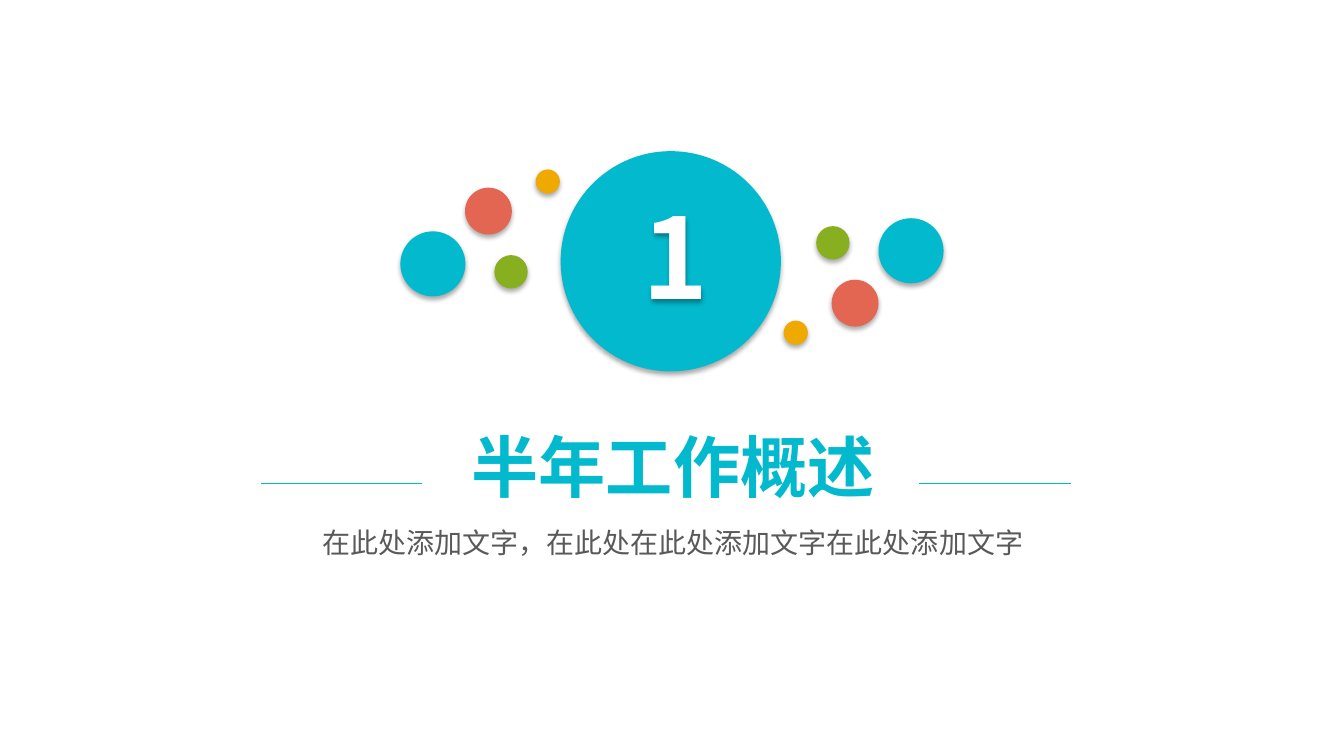
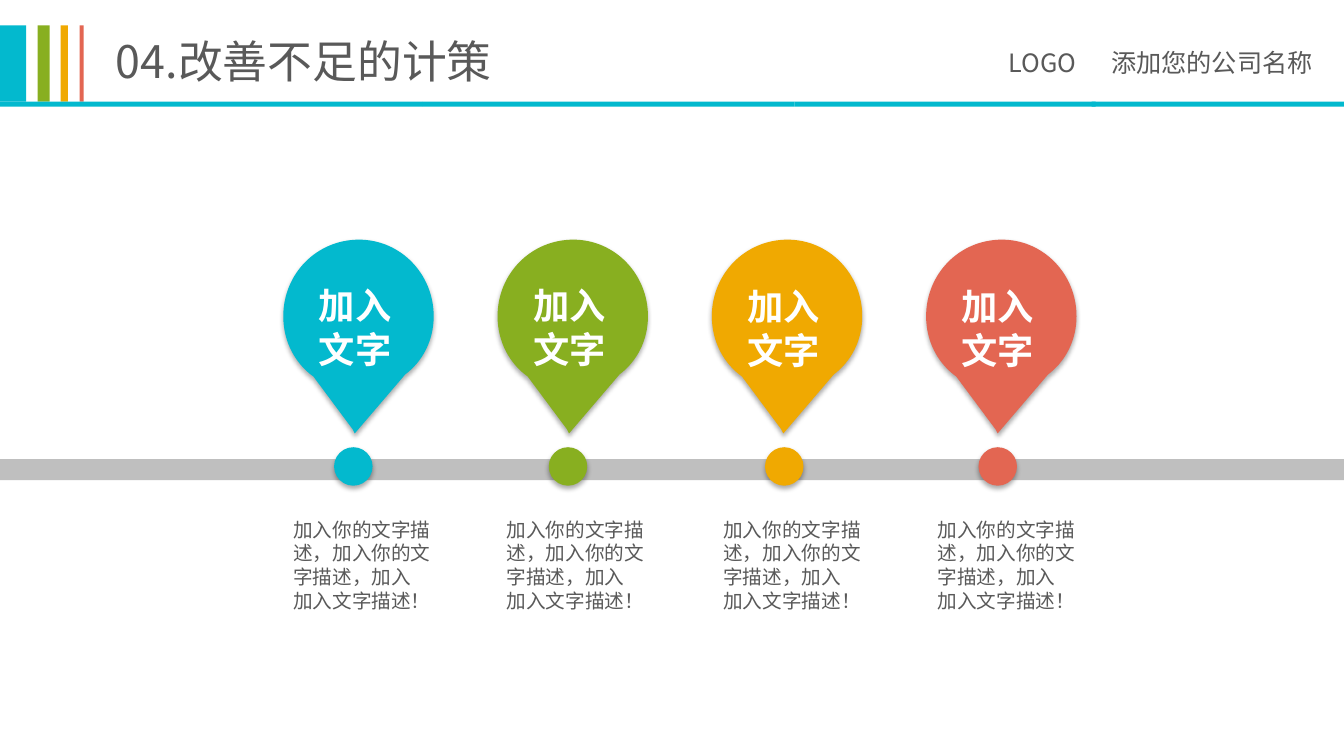
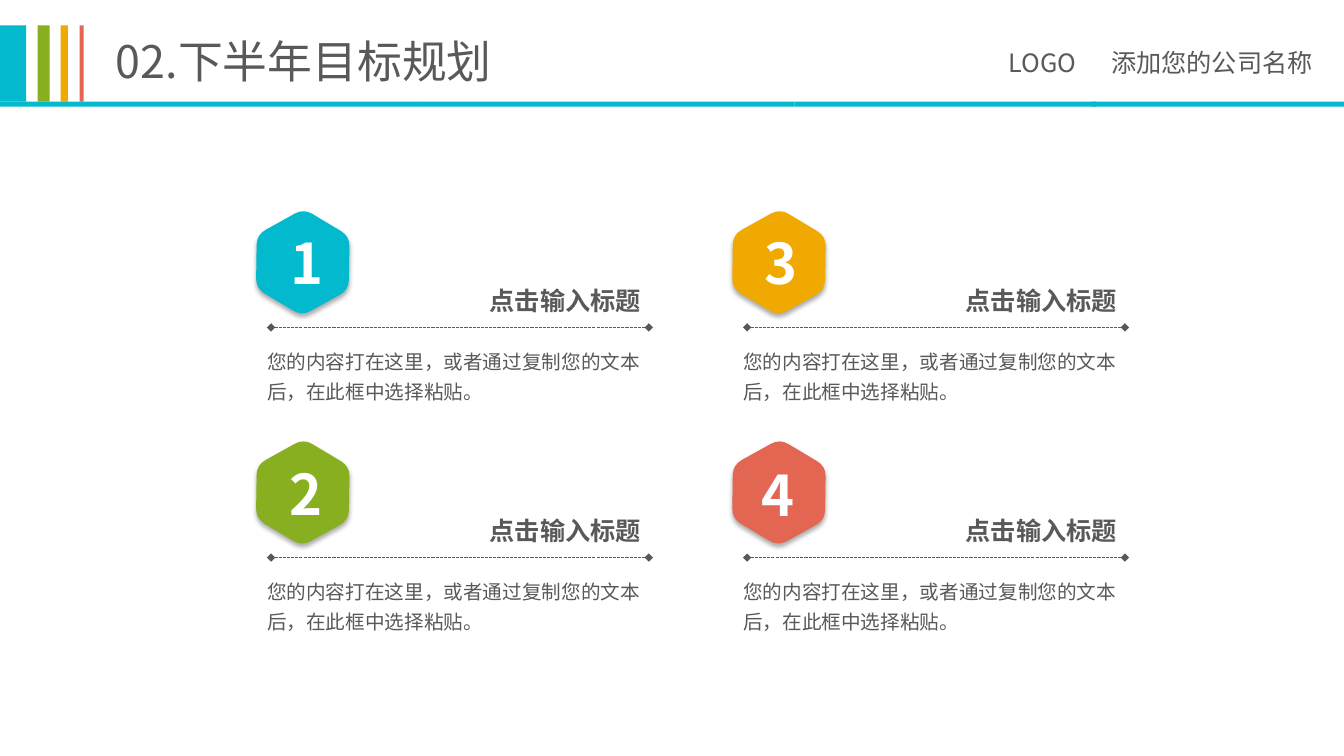
from dataclasses import dataclass
from math import cos, radians, sin

from lxml import etree
from pptx import Presentation, util as u
from pptx.dml.color import RGBColor
from pptx.enum import dml, shapes, text
from pptx.oxml.ns import qn
from pptx.shapes.autoshape import Shape
from pptx.shapes.connector import Connector
from pptx.slide import Slide

COLORS = {
    "teal": "03B9CE",
    "green": "88AF20",
    "orange": "F0A901",
    "red": "E36652",
    "gray": "595959",
    "band": "BFBFBF",
    "white": "FFFFFF",
    "black": "000000",
}
FONT = "Noto Sans CJK SC"
PAGE_WIDTH, PAGE_HEIGHT = 33.87, 19.05
Point = tuple[float, float]
Segment = tuple[Point, ...]  # one point for a straight line, three for a cubic curve


@dataclass(frozen=True)
class Box:
    """A rectangle in centimetres."""
    left: float
    top: float
    width: float
    height: float

    def lengths(self) -> list[u.Cm]:
        return [u.Cm(n) for n in (self.left, self.top, self.width, self.height)]


@dataclass(frozen=True)
class Style:
    size: float
    color: str = "gray"
    bold: bool = False
    align: text.PP_ALIGN = text.PP_ALIGN.LEFT
    spacing: float = 1.0


@dataclass(frozen=True)
class Dot:
    color: str
    left: float
    top: float
    size: float


@dataclass(frozen=True)
class Stripe:
    color: str
    left: float
    width: float


@dataclass(frozen=True)
class Stop:
    color: str
    dot_left: float
    caption_left: float
    label_left: float
    label_top: float


@dataclass(frozen=True)
class Goal:
    color: str
    column: int
    row: int
    number_left: float
    number_top: float


STRIPES = [
    Stripe("teal", 0, 0.66),
    Stripe("green", 0.95, 0.3),
    Stripe("orange", 1.53, 0.18),
    Stripe("red", 2.01, 0.1),
]
RULE_PARTS = [
    Stripe("teal", 0, 10.64),
    Stripe("teal", 10.64, 9.38),
    Stripe("teal", 20.02, 7.59),
    Stripe("teal", 27.51, 6.36),
]
COVER_DOTS = [
    Dot("teal", 10.09, 5.83, 1.64),
    Dot("green", 12.46, 6.43, 0.84),
    Dot("orange", 13.5, 4.27, 0.61),
    Dot("red", 11.72, 4.73, 1.18),
    Dot("teal", 22.14, 5.5, 1.64),
    Dot("green", 20.57, 5.7, 0.84),
    Dot("orange", 19.75, 8.08, 0.61),
    Dot("red", 20.96, 7.05, 1.18),
    Dot("teal", 14.13, 3.81, 5.55),
]
STOPS = [
    Stop("teal", 8.42, 7.14, 7.53, 7.01),
    Stop("green", 13.83, 12.52, 12.93, 7.01),
    Stop("orange", 19.28, 17.98, 18.33, 7.04),
    Stop("red", 24.66, 23.38, 23.72, 7.04),
]
GOALS = [
    Goal("teal", 0, 0, 7.06, 5.64),
    Goal("green", 0, 1, 7.04, 11.44),
    Goal("orange", 1, 0, 19.01, 5.64),
    Goal("red", 1, 1, 18.94, 11.48),
]


def rgb(color: str) -> RGBColor:
    return RGBColor.from_string(COLORS[color])


def add_shadow(shape: Shape) -> None:
    shape.shadow.inherit = False
    effects = shape.element.spPr.find(qn("a:effectLst"))
    outer = etree.SubElement(effects, qn("a:outerShdw"), {
        "blurRad": str(u.Pt(3.5)), "dist": str(u.Pt(2.2)),
        "dir": "5400000", "algn": "t", "rotWithShape": "0"})
    color = etree.SubElement(outer, qn("a:srgbClr"), val=COLORS["black"])
    etree.SubElement(color, qn("a:alpha"), val="32000")


def paint(shape: Shape, color: str, shadow: bool) -> None:
    shape.shadow.inherit = False
    shape.fill.solid()
    shape.fill.fore_color.rgb = rgb(color)
    shape.line.fill.background()
    if shadow:
        add_shadow(shape)


def add_rect(page: Slide, box: Box, color: str) -> None:
    rect = page.shapes.add_shape(shapes.MSO_SHAPE.RECTANGLE, *box.lengths())
    paint(rect, color, shadow=False)


def add_dot(page: Slide, dot: Dot) -> None:
    box = Box(dot.left, dot.top, dot.size, dot.size)
    oval = page.shapes.add_shape(shapes.MSO_SHAPE.OVAL, *box.lengths())
    paint(oval, dot.color, shadow=True)


def add_outline(page: Slide, origin: Point, start: Point, segments: list[Segment],
                color: str) -> Shape:
    """Draw a closed outline, with points measured from origin."""
    def place(point: Point) -> tuple[u.Cm, u.Cm]:
        return u.Cm(origin[0] + point[0]), u.Cm(origin[1] + point[1])

    builder = page.shapes.build_freeform(*place(start))
    builder.add_line_segments([place(p) for segment in segments for p in segment])
    shape = builder.convert_to_shape()
    lines = iter(list(shape.element.iter(qn("a:lnTo"))))
    for segment in segments:
        first, *others = [next(lines) for _ in segment]
        if others:
            curve = etree.Element(qn("a:cubicBezTo"))
            first.addprevious(curve)
            for line in (first, *others):
                curve.append(line[0])
                line.getparent().remove(line)
    paint(shape, color, shadow=True)
    return shape


def add_pin(page: Slide, left: float, top: float, color: str) -> None:
    segments = [
        ((2.95, 0), (3.79, 0.86), (3.79, 1.93)),
        ((3.79, 2.54), (3.51, 3.07), (3.07, 3.4)),
        ((1.83, 4.85),),
        ((1.8, 4.88),),
        ((1.75, 4.78),),
        ((0.76, 3.45),),
        ((0.3, 3.12), (0, 2.57), (0, 1.93)),
        ((0, 0.86), (0.84, 0), (1.91, 0)),
    ]
    add_outline(page, (left, top), (1.91, 0), segments, color)


def add_hexagon(page: Slide, center: Point, color: str) -> None:
    """Draw a hexagon with rounded corners, turned nearly upright."""
    radius, rounding = 1.35, 0.19
    angles = [radians(60 * k) for k in range(6)]
    corners = [(radius * cos(a), radius * sin(a)) for a in angles]

    def toward(start: Point, end: Point, share: float) -> Point:
        return (start[0] + share * (end[0] - start[0]),
                start[1] + share * (end[1] - start[1]))

    segments = []
    for k, corner in enumerate(corners):
        before, after = corners[k - 1], corners[(k + 1) % 6]
        segments.append((toward(corner, before, rounding),))
        segments.append((toward(corner, before, rounding / 3),
                         toward(corner, after, rounding / 3),
                         toward(corner, after, rounding)))
    hexagon = add_outline(page, center, segments[-1][-1], segments, color)
    hexagon.rotation = 30.9


def add_text(page: Slide, box: Box, words: str, style: Style, wrap: bool = True,
             grow: bool = True, insets: tuple[float, ...] = (0.25, 0.13, 0.25, 0.13),
             ) -> Shape:
    """Write one paragraph for each line of words; insets run left, top, right, bottom."""
    shape = page.shapes.add_textbox(*box.lengths())
    frame = shape.text_frame
    frame.text = words
    frame.word_wrap = wrap
    fit = text.MSO_AUTO_SIZE
    frame.auto_size = fit.SHAPE_TO_FIT_TEXT if grow else fit.NONE
    (frame.margin_left, frame.margin_top,
     frame.margin_right, frame.margin_bottom) = [u.Cm(n) for n in insets]
    for para in frame.paragraphs:
        para.alignment = style.align
        para.line_spacing = style.spacing
        for span in para.runs:
            span.font.size = u.Pt(style.size)
            span.font.bold = style.bold
            span.font.name = FONT
            span.font.color.rgb = rgb(style.color)
            etree.SubElement(span.font._element, qn("a:ea"), typeface=FONT)
    return shape


def add_line(page: Slide, left: float, right: float, y: float, color: str) -> Connector:
    line = page.shapes.add_connector(
        shapes.MSO_CONNECTOR.STRAIGHT, u.Cm(left), u.Cm(y), u.Cm(right), u.Cm(y))
    line.line.color.rgb = rgb(color)
    line.line.width = u.Pt(0.75)
    etree.SubElement(line.element.spPr, qn("a:effectLst"))
    return line


def add_diamond_line(page: Slide, left: float, right: float, y: float) -> None:
    line = add_line(page, left, right, y, "gray")
    line.line.dash_style = dml.MSO_LINE.SQUARE_DOT
    stroke = line.element.spPr.find(qn("a:ln"))
    for end in ("a:headEnd", "a:tailEnd"):
        etree.SubElement(stroke, qn(end), type="diamond")


def add_header(page: Slide, title: str) -> None:
    add_text(page, Box(2.67, 0.72, 13, 1.63), title, Style(32))
    for stripe in STRIPES:
        add_rect(page, Box(stripe.left, 0.64, stripe.width, 1.92), stripe.color)
    company = add_text(page, Box(25.17, 1.07, 8.69, 1.02), "LOGO\t添加您的公司名称", Style(18))
    props = company.text_frame.paragraphs[0]._p.get_or_add_pPr()
    tabs = etree.SubElement(props, qn("a:tabLst"))
    etree.SubElement(tabs, qn("a:tab"), pos=str(u.Cm(2.58)), algn="l")
    for part in RULE_PARTS:
        add_rect(page, Box(part.left, 2.56, part.width, 0.13), part.color)


def build_section(page: Slide) -> None:
    center = text.PP_ALIGN.CENTER
    for dot in COVER_DOTS:
        add_dot(page, dot)
    number = add_text(page, Box(15.9, 4.6, 2.26, 3.68), "1",
                      Style(80, "white", True, center), wrap=False)
    add_shadow(number)
    add_text(page, Box(9.83, 10.59, 14.27, 2.31), "半年工作概述",
             Style(48, "teal", True, center))
    add_text(page, Box(3.66, 13.11, 26.59, 1.12),
             "在此处添加文字，在此处在此处添加文字在此处添加文字", Style(20, align=center))
    for left, right in [(6.59, 10.63), (23.15, 26.98)]:
        add_line(page, left, right, 12.18, "teal")


def build_timeline(page: Slide) -> None:
    add_header(page, "04.改善不足的计策")
    add_rect(page, Box(-0.04, 11.57, PAGE_WIDTH + 0.04, 0.53), "band")
    for k, stop in enumerate(STOPS):
        add_pin(page, 7.14 + 5.4 * k, 6.04, stop.color)
        add_dot(page, Dot(stop.color, stop.dot_left, 11.27, 0.97))
        add_text(page, Box(stop.caption_left, 13.05, 4.37, 2.01),
                 "加入你的文字描述，加入你的文字描述，加入\n加入文字描述！",
                 Style(14), grow=False, insets=(0.25, 0, 0.25, 0))
        add_text(page, Box(stop.label_left, stop.label_top, 3, 2.21), "加入\n文字",
                 Style(25.9, "white", True), grow=False, insets=(0.51, 0.13, 0.25, 0))


def build_goals(page: Slide) -> None:
    add_header(page, "02.下半年目标规划")
    for number, goal in enumerate(GOALS, start=1):
        x, y = 12 * goal.column, 5.8 * goal.row
        add_hexagon(page, (x + 7.63, y + 6.61), goal.color)
        add_diamond_line(page, x + 6.83, x + 16.35, y + 8.25)
        add_text(page, Box(x + 12.09, y + 7.06, 4.37, 1.02), "点击输入标题",
                 Style(18, bold=True), wrap=False)
        add_text(page, Box(x + 6.48, y + 8.5, 10.36, 1.73),
                 "您的内容打在这里，或者通过复制您的文本后，在此框中选择粘贴。",
                 Style(14, spacing=1.3))
        add_text(page, Box(goal.number_left, goal.number_top, 1.04, 1.96), str(number),
                 Style(40, "white", True))


def main() -> None:
    deck = Presentation()
    deck.slide_width, deck.slide_height = u.Cm(PAGE_WIDTH), u.Cm(PAGE_HEIGHT)
    blank = deck.slide_layouts[6]
    for build in (build_section, build_timeline, build_goals):
        build(deck.slides.add_slide(blank))
    deck.save("out.pptx")


if __name__ == "__main__":
    main()
